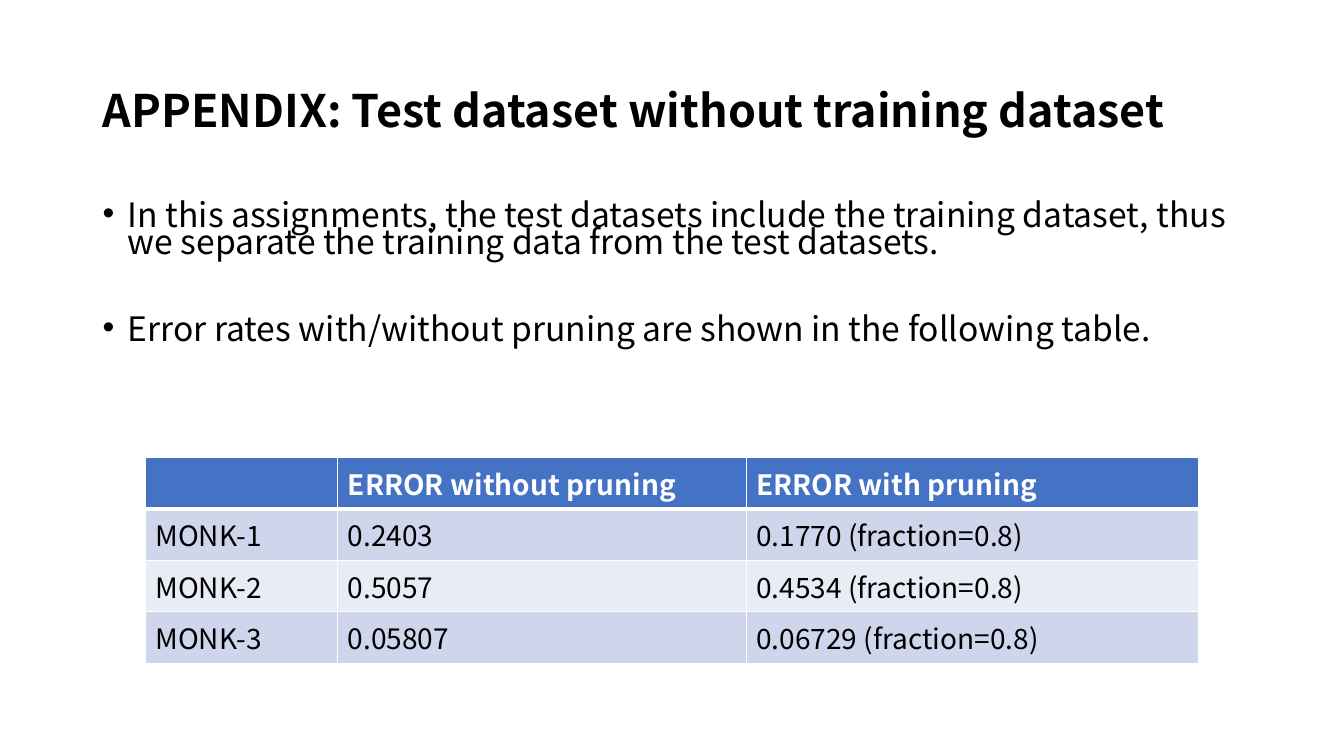
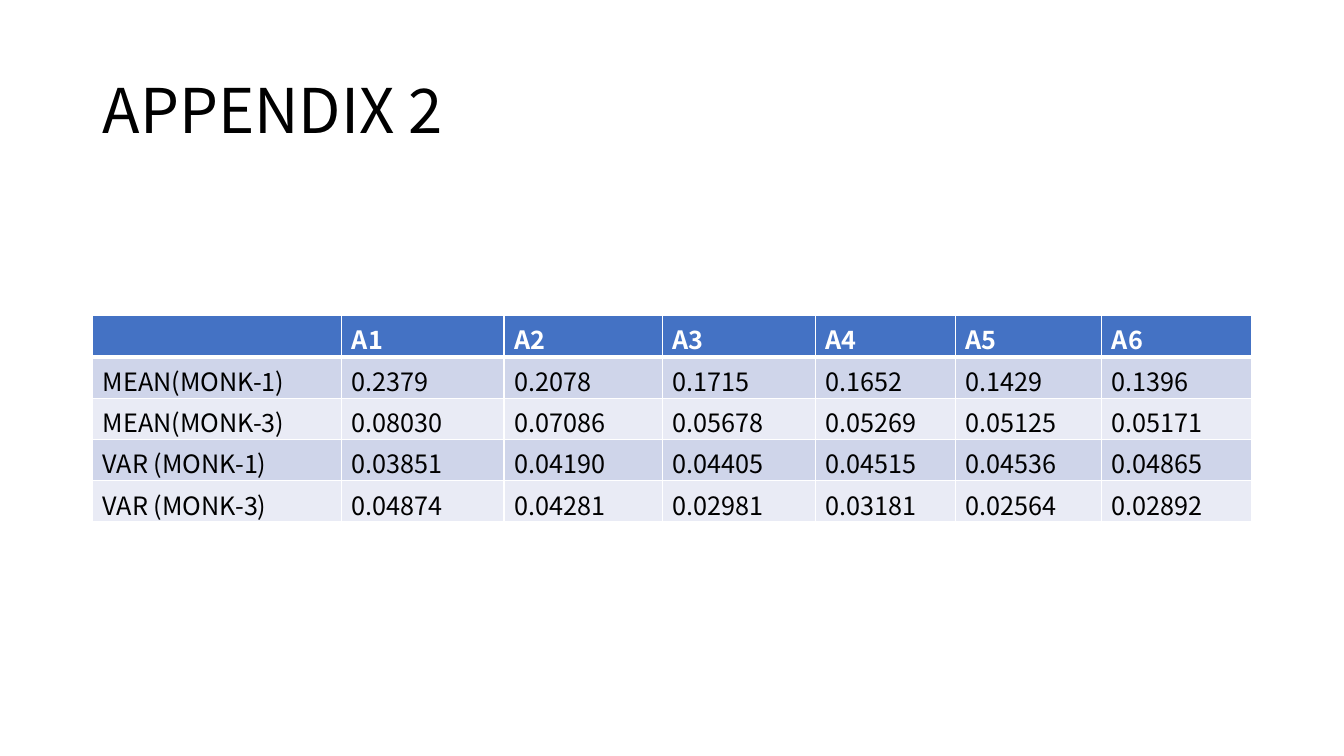
from pptx import Presentation
from pptx.dml.color import RGBColor
from pptx.enum.text import MSO_ANCHOR as Anchor
from pptx.oxml.ns import qn
from pptx.util import Inches, Pt
from lxml.etree import SubElement

FONT = "Noto Sans CJK JP"
BLACK, WHITE, HEADER_BLUE = "000000", "FFFFFF", "4472C4"
BANDS = ("CFD5EA", "E9EBF5")
LEFT, WIDTH = 0.92, 11.5

BULLETS = [
    "In this assignments, the test datasets include the training dataset, "
    "thus we separate the training data from the test datasets.",
    "Error rates with/without pruning are shown in the following table.",
]
PRUNING_ERRORS = [
    ("", "ERROR without pruning", "ERROR with pruning"),
    ("MONK-1", "0.2403", "0.1770 (fraction=0.8)"),
    ("MONK-2", "0.5057", "0.4534 (fraction=0.8)"),
    ("MONK-3", "0.05807", "0.06729 (fraction=0.8)"),
]
ATTRIBUTE_GAINS = [
    ("", "A1", "A2", "A3", "A4", "A5", "A6"),
    ("MEAN(MONK-1)", "0.2379", "0.2078", "0.1715", "0.1652", "0.1429", "0.1396"),
    ("MEAN(MONK-3)", "0.08030", "0.07086", "0.05678", "0.05269", "0.05125", "0.05171"),
    ("VAR (MONK-1)", "0.03851", "0.04190", "0.04405", "0.04515", "0.04536", "0.04865"),
    ("VAR (MONK-3)", "0.04874", "0.04281", "0.02981", "0.03181", "0.02564", "0.02892"),
]


def color(hex_value):
    return RGBColor.from_string(hex_value)


def style(para, size, hex_value=BLACK, bold=False):
    for span in para.runs:
        span.font.name = FONT
        span.font.size = Pt(size)
        span.font.bold = bold
        span.font.color.rgb = color(hex_value)
        SubElement(span.font._element, qn("a:ea"), typeface=FONT)


def add_text(page, top, height):
    box = page.shapes.add_textbox(Inches(LEFT), Inches(top), Inches(WIDTH), Inches(height))
    box.text_frame.word_wrap = True
    return box.text_frame


def add_page(title, size, bold=False):
    page = deck.slides.add_slide(deck.slide_layouts[6])
    frame = add_text(page, 0.4, 1.45)
    frame.vertical_anchor = Anchor.MIDDLE
    frame.text = title
    para = frame.paragraphs[0]
    para.line_spacing = 0.9
    style(para, size, bold=bold)
    return page


def add_bullets(page, lines):
    frame = add_text(page, 2, 1.75)
    frame.text = "\n".join(lines)
    for index, para in enumerate(frame.paragraphs):
        para.line_spacing = 0.66
        para.space_before = Pt(43 if index else 10)
        style(para, 24)
        properties = para._p.get_or_add_pPr()
        properties.set("marL", str(Inches(0.25)))
        properties.set("indent", str(-Inches(0.25)))
        SubElement(properties, qn("a:buFont"), typeface="Arial")
        SubElement(properties, qn("a:buChar"), char="•")


def add_borders(cell, top, bottom):
    properties = cell._tc.get_or_add_tcPr()
    for side, width in (("L", 1), ("R", 1), ("T", top), ("B", bottom)):
        line = SubElement(properties, qn("a:ln" + side), w=str(Pt(width)))
        SubElement(SubElement(line, qn("a:solidFill")), qn("a:srgbClr"), val=WHITE)


def add_table(page, rows, left, top, widths, row_height, size):
    table = page.shapes.add_table(
        len(rows), len(widths), Inches(left), Inches(top),
        Inches(sum(widths)), Inches(row_height * len(rows))).table
    for column, width in zip(table.columns, widths):
        column.width = Inches(width)
    for row_index, values in enumerate(rows):
        table.rows[row_index].height = Inches(row_height)
        header = row_index == 0
        for column_index, value in enumerate(values):
            cell = table.cell(row_index, column_index)
            add_borders(cell, 3 if row_index == 1 else 1, 3 if header else 1)
            cell.fill.solid()
            cell.fill.fore_color.rgb = color(HEADER_BLUE if header else BANDS[(row_index - 1) % 2])
            cell.text_frame.text = value
            style(cell.text_frame.paragraphs[0], size, WHITE if header else BLACK, header)


deck = Presentation()
deck.slide_width, deck.slide_height = Inches(13.33), Inches(7.5)

pruning = add_page("APPENDIX: Test dataset without training dataset", 32, bold=True)
add_bullets(pruning, BULLETS)
add_table(pruning, PRUNING_ERRORS, 1.44, 4.54, (1.91, 4.05, 4.49), 0.51, 20)

gains = add_page("APPENDIX 2", 44)
add_table(gains, ATTRIBUTE_GAINS, LEFT, 3.13,
          (2.47, 1.61, 1.57, 1.52, 1.39, 1.45, 1.48), 0.41, 18)

deck.save("out.pptx")
